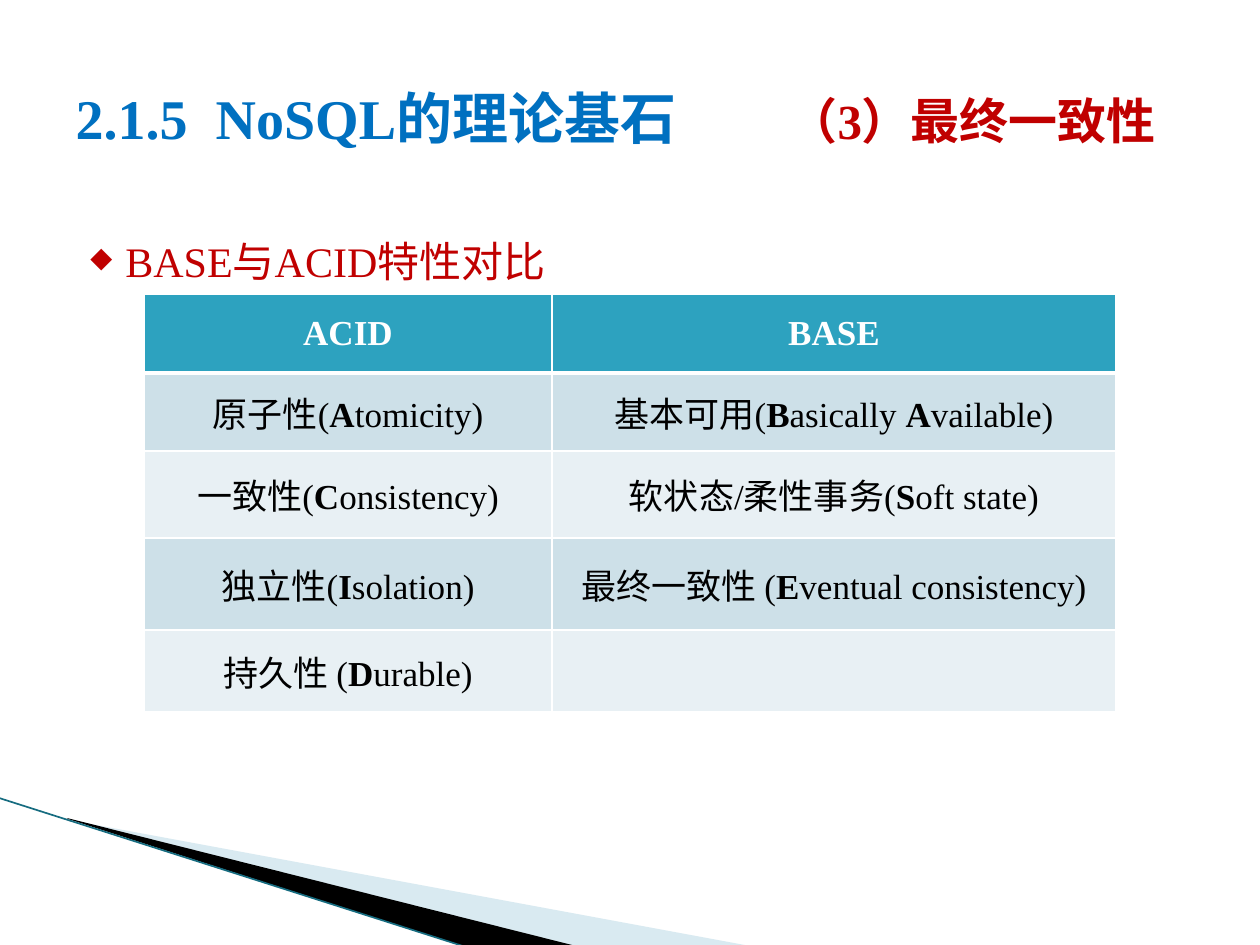
from pptx import Presentation
from pptx import util as u
from pptx.dml.color import RGBColor
from pptx.enum import shapes, text
from pptx.oxml import ns, xmlchemy as xc

BLUE = RGBColor(0x00, 0x70, 0xC0)
RED = RGBColor(0xC0, 0x00, 0x00)
BLACK = RGBColor(0x00, 0x00, 0x00)
WHITE = RGBColor(0xFF, 0xFF, 0xFF)
TEAL = RGBColor(0x2D, 0xA2, 0xBF)
DEEP = RGBColor(0x16, 0x6C, 0x80)
PALE = RGBColor(0xA0, 0xCB, 0xDC)
BANDS = RGBColor(0xCD, 0xE0, 0xE8), RGBColor(0xE8, 0xF0, 0xF4)
FONT = "Times New Roman"
SCALE = 914400 / 126
ROWS = [
    ("*ACID*", "*BASE*"),
    ("原子性(*A*tomicity)", "基本可用(*B*asically\u00a0*A*vailable)"),
    ("一致性(*C*onsistency)", "软状态/柔性事务(*S*oft state)"),
    ("独立性(*I*solation)", "最终一致性 (*E*ventual consistency)"),
    ("持久性 (*D*urable)", ""),
]
HEIGHTS = [79, 78, 87, 92, 82]
WIDTHS = [408, 564]


def px(n):
    return u.Emu(round(n * SCALE))


def sub(parent, tag, **attrs):
    node = xc.OxmlElement(tag)
    for key, val in attrs.items():
        node.set(key, str(val))
    parent.append(node)
    return node


def add_run(para, words, size, color, bold=False):
    run = para.add_run()
    run.text = words
    font = run.font
    font.name, font.size, font.bold = FONT, u.Pt(size), bold
    font.color.rgb = color


def add_wedge(slide, box, points, color, alpha=None):
    left, top = box
    spots = [(left + x, top + y) for x, y in points]
    pen = slide.shapes.build_freeform(*spots[0], scale=SCALE)
    pen.add_line_segments(spots[1:], close=True)
    wedge = pen.convert_to_shape()
    wedge.shadow.inherit = False
    wedge.line.fill.background()
    wedge.fill.solid()
    wedge.fill.fore_color.rgb = color
    if alpha:
        tint = wedge.fill._xPr.find(".//" + ns.qn("a:srgbClr"))
        sub(tint, "a:alpha", val=alpha * 1000)


def add_swoosh(slide, box):
    left, top = box
    add_wedge(slide, (left + 69, top + 21),
              [(0, 1), (681, 127), (506, 127), (0, 0)], PALE, 40)
    add_wedge(slide, (left + 67, top + 20),
              [(0, 0), (509, 128), (402, 130), (1, 1)], BLACK)
    edge = slide.shapes.add_connector(
        shapes.MSO_CONNECTOR.STRAIGHT,
        px(left - 1), px(top), px(left + 469), px(top + 150))
    edge.line.color.rgb = DEEP
    edge.line.width = u.Pt(0.95)
    sub(edge._element.spPr, "a:effectLst")


def set_title(slide, box):
    title = slide.shapes.title
    title.left, title.top, title.width, title.height = map(px, box)
    frame = title.text_frame
    frame.auto_size = text.MSO_AUTO_SIZE.NONE
    frame.vertical_anchor = text.MSO_ANCHOR.MIDDLE
    para = frame.paragraphs[0]
    para.alignment = text.PP_ALIGN.LEFT
    tabs = sub(para._p.get_or_add_pPr(), "a:tabLst")
    sub(tabs, "a:tab", pos=px(713), algn="l")
    add_run(para, "2.1.5  NoSQL的理论基石\t", 32, BLUE, True)
    add_run(para, "（3）最终一致性", 28, RED, True)


def add_point(slide, box):
    frame = slide.shapes.add_textbox(*map(px, box)).text_frame
    frame.word_wrap = True
    para = frame.paragraphs[0]
    para.line_spacing = 1.5
    props = para._p.get_or_add_pPr()
    props.set("marL", str(px(50)))
    props.set("indent", str(px(-35)))
    tint = sub(props, "a:buClr")
    sub(tint, "a:srgbClr", val=RED)
    sub(props, "a:buSzPct", val=68000)
    sub(props, "a:buChar", char="◆")
    add_run(para, "BASE与ACID特性对比", 24, RED)


def set_cell(cell, words, fill, color, pads, base):
    props = cell._tc.get_or_add_tcPr()
    for side, width in zip("LRTB", (1, 1, 1, base)):
        line = sub(props, f"a:ln{side}", w=u.Pt(width))
        sub(sub(line, "a:solidFill"), "a:srgbClr", val=WHITE)
    cell.fill.solid()
    cell.fill.fore_color.rgb = fill
    cell.vertical_anchor = text.MSO_ANCHOR.MIDDLE
    cell.margin_left = cell.margin_right = px(pads[0])
    cell.margin_top = cell.margin_bottom = px(pads[1])
    para = cell.text_frame.paragraphs[0]
    para.alignment = text.PP_ALIGN.CENTER
    for i, part in enumerate(words.split("*")):
        if part:
            add_run(para, part, 20, color, i % 2 == 1)


def add_grid(slide, box):
    size = sum(WIDTHS), sum(HEIGHTS)
    grid = slide.shapes.add_table(
        len(ROWS), len(WIDTHS), *map(px, box + size)).table
    grid.horz_banding = False
    for col, width in zip(grid.columns, WIDTHS):
        col.width = px(width)
    for r, (row, high) in enumerate(zip(ROWS, HEIGHTS)):
        grid.rows[r].height = px(high)
        if r == 0:
            look = TEAL, WHITE, (4, 4), 3
        else:
            look = BANDS[(r - 1) % 2], BLACK, (6, 8), 1
        for c, words in enumerate(row):
            set_cell(grid.cell(r, c), words, *look)


def main():
    deck = Presentation()
    deck.slide_width, deck.slide_height = px(1260), px(945)
    slide = deck.slides.add_slide(deck.slide_layouts[5])
    add_swoosh(slide, (0, 798))
    set_title(slide, (63, 38, 1113, 158))
    add_point(slide, (63, 204, 1134, 624))
    add_grid(slide, (144, 294))
    deck.save("out.pptx")


if __name__ == "__main__":
    main()
